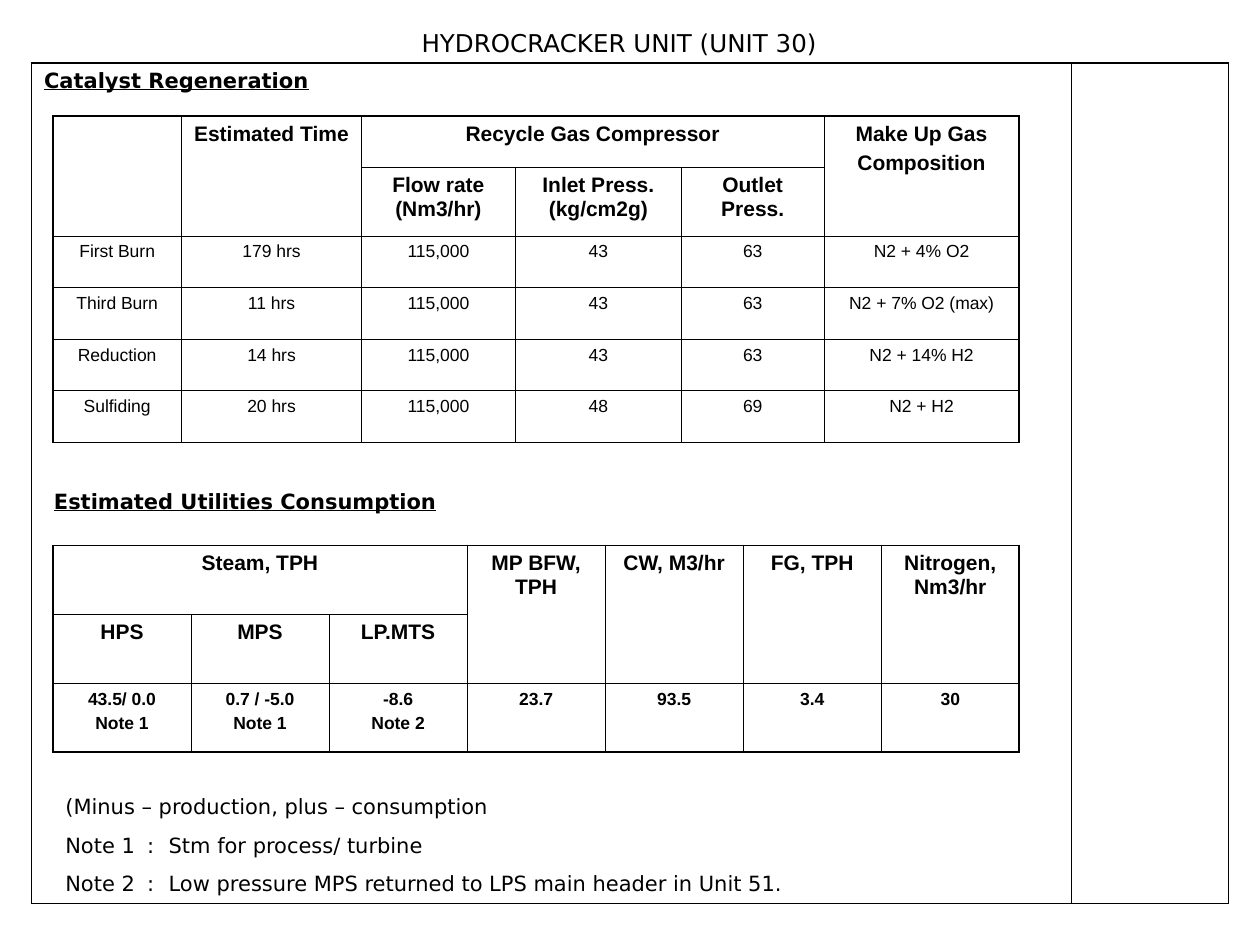
from lxml.etree import SubElement
from pptx import Presentation
from pptx.dml.color import RGBColor
from pptx.enum.text import PP_ALIGN
from pptx.oxml.ns import qn
from pptx.util import Inches, Pt

COLORS = {"ink": "000000"}
HEADING_FONT, TABLE_FONT = "DejaVu Sans", "Arial"
OUTER_LINE, INNER_LINE = 1.08, 0.45
TABLE_LEFT = 0.42

REGENERATION_ROWS = [
    ["", "Estimated Time", "Recycle Gas Compressor", "", "", "Make Up Gas\nComposition"],
    ["", "", "Flow rate (Nm3/hr)", "Inlet Press. (kg/cm2g)", "Outlet Press.", ""],
    ["First Burn", "179 hrs", "115,000", "43", "63", "N2 + 4% O2"],
    ["Third Burn", "11 hrs", "115,000", "43", "63", "N2 + 7% O2 (max)"],
    ["Reduction", "14 hrs", "115,000", "43", "63", "N2 + 14% H2"],
    ["Sulfiding", "20 hrs", "115,000", "48", "69", "N2 + H2"],
]
UTILITIES_ROWS = [
    ["Steam, TPH", "", "", "MP BFW, TPH", "CW, M3/hr", "FG, TPH", "Nitrogen, Nm3/hr"],
    ["HPS", "MPS", "LP.MTS", "", "", "", ""],
    ["43.5/ 0.0\nNote 1", "0.7 / -5.0\nNote 1", "-8.6\nNote 2", "23.7", "93.5", "3.4", "30"],
]
NOTES = [
    "(Minus – production, plus – consumption",
    "Note 1\t:\tStm for process/ turbine",
    "Note 2\t:\tLow pressure MPS returned to LPS main header in Unit 51.",
]


def add_tab_stops(paragraph, positions):
    tab_list = SubElement(paragraph._p.get_or_add_pPr(), qn("a:tabLst"))
    for position in positions:
        SubElement(tab_list, qn("a:tab"), pos=str(Inches(position)), algn="l")


def write_text(frame, lines, size, font=HEADING_FONT, bold=False, underline=False,
               align=PP_ALIGN.LEFT, gap=0, tabs=()):
    """Write one paragraph per line, with gap points between paragraphs."""
    frame.word_wrap = True
    for index, line in enumerate(lines):
        paragraph = frame.add_paragraph() if index else frame.paragraphs[0]
        if index:
            paragraph.space_before = Pt(gap)
        if "\t" in line:
            add_tab_stops(paragraph, tabs)
        paragraph.alignment = align
        run = paragraph.add_run()
        run.text = line
        run.font.name = font
        run.font.size = Pt(size)
        run.font.bold = bold
        run.font.underline = underline
        run.font.color.rgb = RGBColor.from_string(COLORS["ink"])


def add_text(slide, box, lines, size, **style):
    shape = slide.shapes.add_textbox(*map(Inches, box))
    write_text(shape.text_frame, lines, size, **style)


def add_border(cell, side, width):
    """Draw one side of a cell; a width of zero hides it."""
    line = SubElement(cell._tc.get_or_add_tcPr(), qn(f"a:ln{side}"), w=str(Pt(width)))
    if width:
        fill = SubElement(line, qn("a:solidFill"))
        SubElement(fill, qn("a:srgbClr"), val=COLORS["ink"])
    else:
        SubElement(line, qn("a:noFill"))


def border_width(edge, first, last, count):
    """Width of a grid line, given the lines that bound its cell or merged area."""
    if edge not in (first, last):
        return 0
    return OUTER_LINE if edge in (0, count) else INNER_LINE


def add_grid(slide, left, top, columns, rows, merges=()):
    """Add an empty ruled table; merges are (first row, first column, last row, last column)."""
    frame = slide.shapes.add_table(len(rows), len(columns), Inches(left), Inches(top),
                                   Inches(sum(columns)), Inches(sum(rows)))
    table = frame.table
    table.first_row = table.horz_banding = False
    for column, width in zip(table.columns, columns):
        column.width = Inches(width)
    for row, height in zip(table.rows, rows):
        row.height = Inches(height)

    areas = {}
    for top_row, left_column, bottom_row, right_column in merges:
        table.cell(top_row, left_column).merge(table.cell(bottom_row, right_column))
        for r in range(top_row, bottom_row + 1):
            for c in range(left_column, right_column + 1):
                areas[r, c] = (top_row, left_column, bottom_row, right_column)

    for r in range(len(rows)):
        for c in range(len(columns)):
            cell = table.cell(r, c)
            first_row, first_column, last_row, last_column = areas.get((r, c), (r, c, r, c))
            for side, edge in (("L", c), ("R", c + 1)):
                add_border(cell, side,
                           border_width(edge, first_column, last_column + 1, len(columns)))
            for side, edge in (("T", r), ("B", r + 1)):
                add_border(cell, side, border_width(edge, first_row, last_row + 1, len(rows)))
            cell.fill.background()
    return table


def fill_table(table, content, bold_values, header_rows=2):
    for r, texts in enumerate(content):
        is_header = r < header_rows
        for c, text in enumerate(texts):
            if text:
                write_text(table.cell(r, c).text_frame, text.split("\n"),
                           12 if is_header else 10, font=TABLE_FONT,
                           bold=is_header or bold_values, align=PP_ALIGN.CENTER,
                           gap=3 if is_header else 2.5)


def main():
    presentation = Presentation()
    presentation.slide_width, presentation.slide_height = Inches(10), Inches(7.5)
    slide = presentation.slides.add_slide(presentation.slide_layouts[6])

    add_text(slide, (0.33, 0.17, 9.17, 1.4), ["HYDROCRACKER UNIT (UNIT 30)"], 14,
             align=PP_ALIGN.CENTER)

    page_frame = add_grid(slide, 0.25, 0.5, [8.25, 1.25], [6.67])
    write_text(page_frame.cell(0, 0).text_frame, ["Catalyst Regeneration"], 12,
               bold=True, underline=True)

    regeneration = add_grid(
        slide, TABLE_LEFT, 0.92, [1.02, 1.43, 1.22, 1.32, 1.13, 1.55],
        [0.41, 0.54] + [0.41] * 4,
        [(0, 0, 1, 0), (0, 1, 1, 1), (0, 2, 0, 4), (0, 5, 1, 5)])
    fill_table(regeneration, REGENERATION_ROWS, bold_values=False)

    add_text(slide, (0.33, 3.83, 7.5, 0.91), ["Estimated Utilities Consumption"], 12,
             bold=True, underline=True)

    utilities = add_grid(
        slide, TABLE_LEFT, 4.33, [7.67 / 7] * 7, [1.64 / 3] * 3,
        [(0, 0, 0, 2)] + [(0, column, 1, column) for column in range(3, 7)])
    fill_table(utilities, UTILITIES_ROWS, bold_values=True)

    add_text(slide, (TABLE_LEFT, 6.25, 7.75, 0.91), NOTES, 12, gap=7.5, tabs=(0.65, 0.82))

    presentation.save("out.pptx")


if __name__ == "__main__":
    main()
